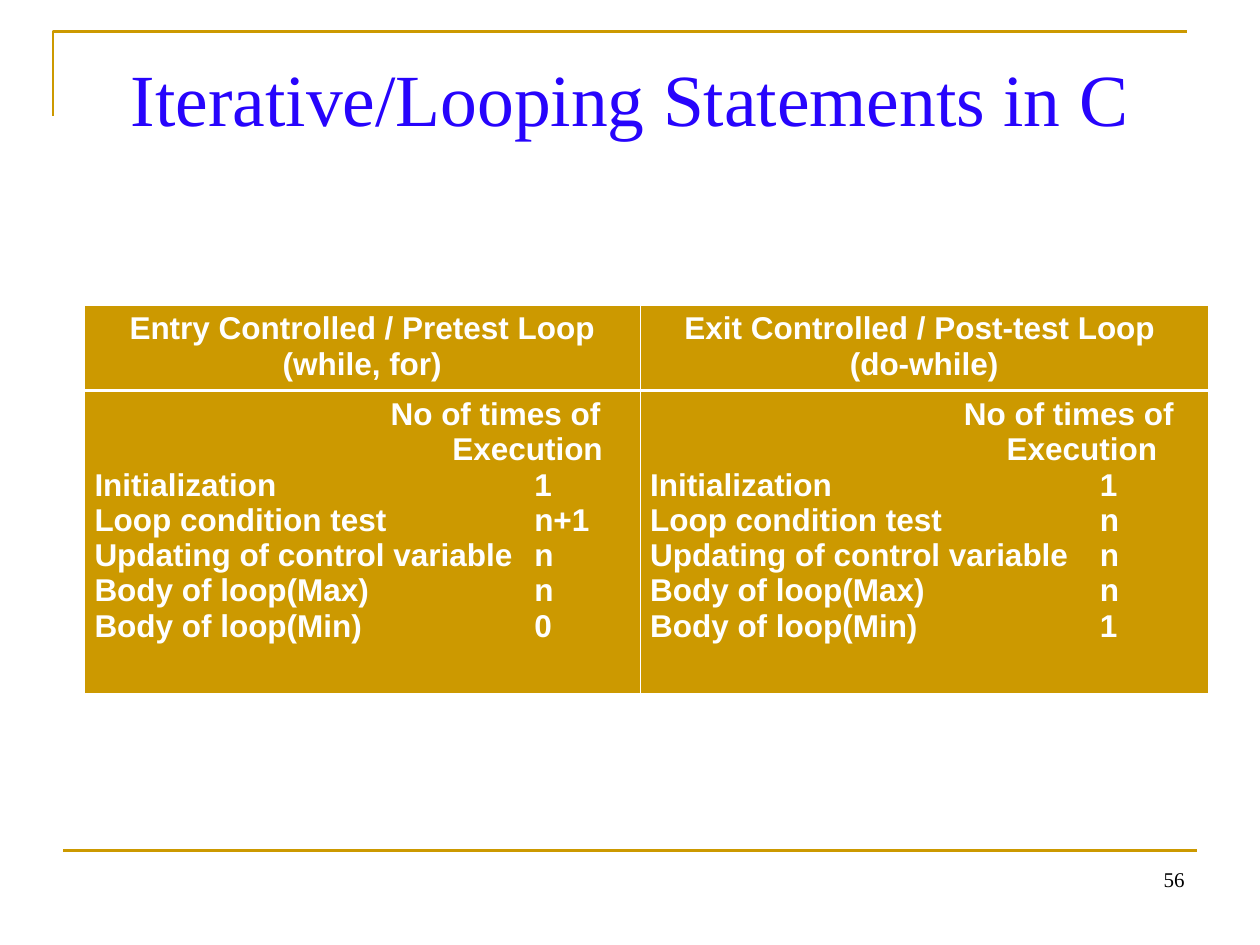
from lxml import etree
from pptx import Presentation
from pptx.dml.color import RGBColor
from pptx.enum.shapes import MSO_CONNECTOR
from pptx.enum.text import MSO_ANCHOR, PP_ALIGN
from pptx.oxml.ns import qn
from pptx.util import Inches, Pt

CENTER, RIGHT = PP_ALIGN.CENTER, PP_ALIGN.RIGHT
TOP = MSO_ANCHOR.TOP
STRAIGHT = MSO_CONNECTOR.STRAIGHT
TITLE_ONLY = 5

COLORS = {"gold": "CC9900", "title": "2704FC", "white": "FFFFFF", "black": "000000"}
SERIF, SANS = "Times New Roman", "Arial"
THIN, THICK = 0.45, 1.47

# Each loop type: heading lines, then (label, count) pairs and the tab stops
# of the two column-heading lines and of the counts.
LOOPS = [
    {
        "heading": ["Entry Controlled / Pretest Loop (while, for)"],
        "counts": ["1", "n+1", "n", "n", "0"],
        "stops": [2.35, 2.84, 3.49],
    },
    {
        "heading": ["Exit Controlled / Post-test Loop ", "(do-while)"],
        "counts": ["1", "n", "n", "n", "1"],
        "stops": [2.49, 2.83, 3.57],
    },
]
COUNT_HEADING = ["No of times of", "Execution"]
STEPS = ["Initialization", "Loop condition test", "Updating of control variable",
         "Body of loop(Max)", "Body of loop(Min)"]


def rgb(name):
    return RGBColor.from_string(COLORS[name])


def add_run(paragraph, text, font, size, color, bold=False):
    run = paragraph.add_run()
    run.text = text
    run.font.name = font
    run.font.size = Pt(size)
    run.font.bold = bold
    run.font.color.rgb = rgb(color)


def add_tab_stop(paragraph, position):
    tabs = etree.SubElement(paragraph._p.get_or_add_pPr(), qn("a:tabLst"))
    etree.SubElement(tabs, qn("a:tab"), pos=str(Inches(position)), algn="l")


def add_frame(slide, corner, rule):
    """Draw the corner line in one box and the footer rule along another."""
    left, top, width, height = map(Inches, corner)
    builder = slide.shapes.build_freeform(left, top + height)
    builder.add_line_segments([(left, top), (left + width, top)], close=False)
    bracket = builder.convert_to_shape()
    bracket.shadow.inherit = False
    bracket.fill.background()

    left, top, width = map(Inches, rule)
    footer = slide.shapes.add_connector(STRAIGHT, left, top, left + width, top)
    etree.SubElement(footer._element.spPr, qn("a:effectLst"))
    for outline in (bracket.line, footer.line):
        outline.color.rgb = rgb("gold")
        outline.width = Pt(1.5)
    # Line properties come before effects in the schema.
    properties = footer._element.spPr
    properties.append(properties.find(qn("a:effectLst")))


def add_title(slide, box):
    title = slide.shapes.title
    title.left, title.top, title.width, title.height = map(Inches, box)
    frame = title.text_frame
    frame.word_wrap = True
    frame.vertical_anchor = TOP
    frame.margin_top = Inches(0.12)
    heading = frame.paragraphs[0]
    heading.alignment = CENTER
    add_run(heading, "Iterative/Looping Statements in C", SERIF, 42, "title")


def style_cell(cell, top, bottom):
    """Fill a cell and give it white borders of the given top and bottom widths."""
    cell.margin_left = cell.margin_right = Inches(0.08)
    cell.margin_top = cell.margin_bottom = Inches(0.05)
    properties = cell._tc.get_or_add_tcPr()
    for side, width in (("L", THIN), ("R", THIN), ("T", top), ("B", bottom)):
        border = etree.SubElement(properties, qn(f"a:ln{side}"), w=str(Pt(width)))
        fill = etree.SubElement(border, qn("a:solidFill"))
        etree.SubElement(fill, qn("a:srgbClr"), val=COLORS["white"])
    cell.fill.solid()
    cell.fill.fore_color.rgb = rgb("gold")


def fill_cell(cell, lines, stops=None):
    """Write centred lines, or lines with one tab stop each."""
    frame = cell.text_frame
    for index, line in enumerate(lines):
        paragraph = frame.add_paragraph() if index else frame.paragraphs[0]
        if stops:
            add_tab_stop(paragraph, stops[index])
        else:
            paragraph.alignment = CENTER
        add_run(paragraph, line, SANS, 18, "white", bold=True)


def add_loop_table(slide, box, widths, heights):
    table = slide.shapes.add_table(2, len(LOOPS), *map(Inches, box)).table
    for row, height in zip(table.rows, heights):
        row.height = Inches(height)
    for column, (loop, width) in enumerate(zip(LOOPS, widths)):
        table.columns[column].width = Inches(width)
        heading, body = table.cell(0, column), table.cell(1, column)
        style_cell(heading, THIN, THICK)
        style_cell(body, THICK, THIN)
        fill_cell(heading, loop["heading"])
        lines = [f"\t{text}" for text in COUNT_HEADING]
        lines += [f"{step}\t{count}" for step, count in zip(STEPS, loop["counts"])]
        first, second, counts = loop["stops"]
        fill_cell(body, lines, [first, second] + [counts] * len(STEPS))


def add_page_number(slide, box):
    frame = slide.shapes.add_textbox(*map(Inches, box)).text_frame
    frame.word_wrap = True
    number = frame.paragraphs[0]
    number.alignment = RIGHT
    add_run(number, "56", SERIF, 12, "black")


def main():
    deck = Presentation()
    deck.slide_width, deck.slide_height = Inches(10), Inches(7.5)
    slide = deck.slides.add_slide(deck.slide_layouts[TITLE_ONLY])
    add_frame(slide, corner=(0.42, 0.25, 9, 0.67), rule=(0.5, 6.75, 9))
    add_title(slide, (0.5, 0.3, 9, 1.25))
    add_loop_table(slide, (0.67, 2.42, 8.92, 3.08), (4.41, 4.51), (0.68, 2.4))
    add_page_number(slide, (7.17, 6.83, 2.33, 0.52))
    deck.save("out.pptx")


if __name__ == "__main__":
    main()
